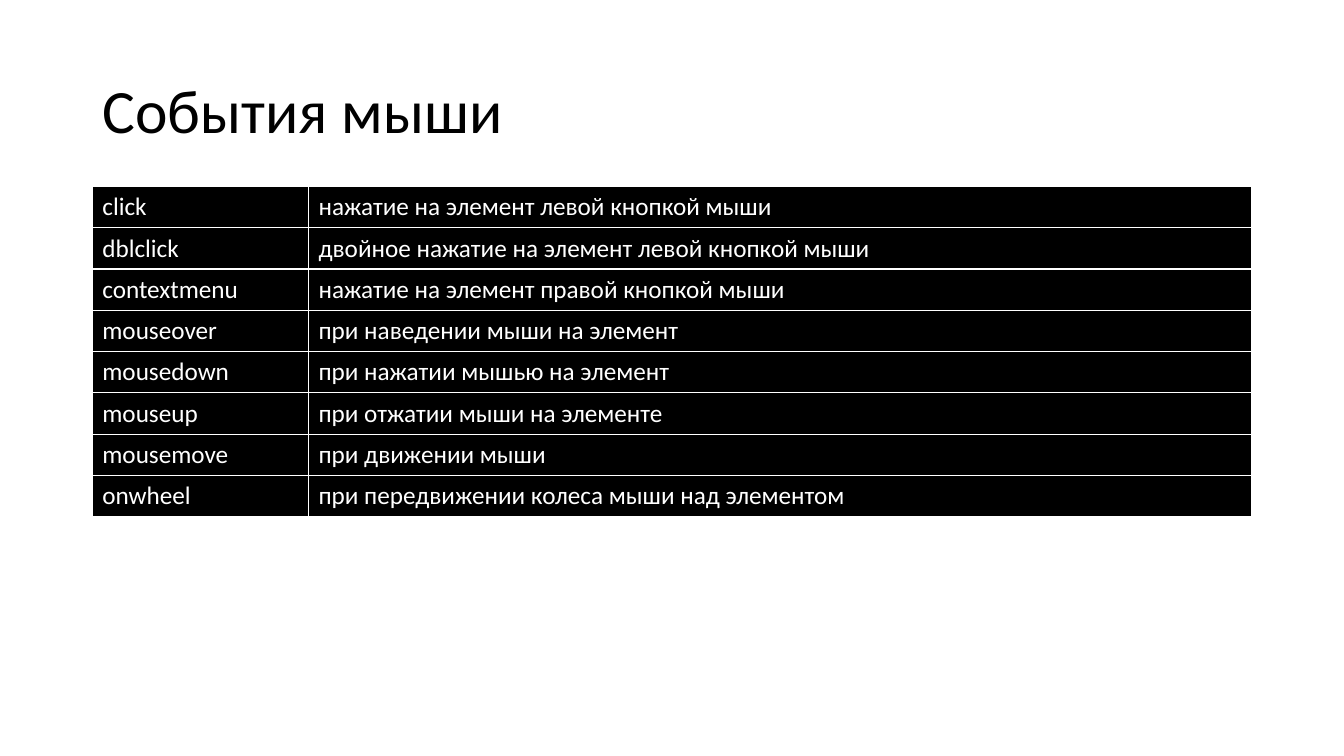
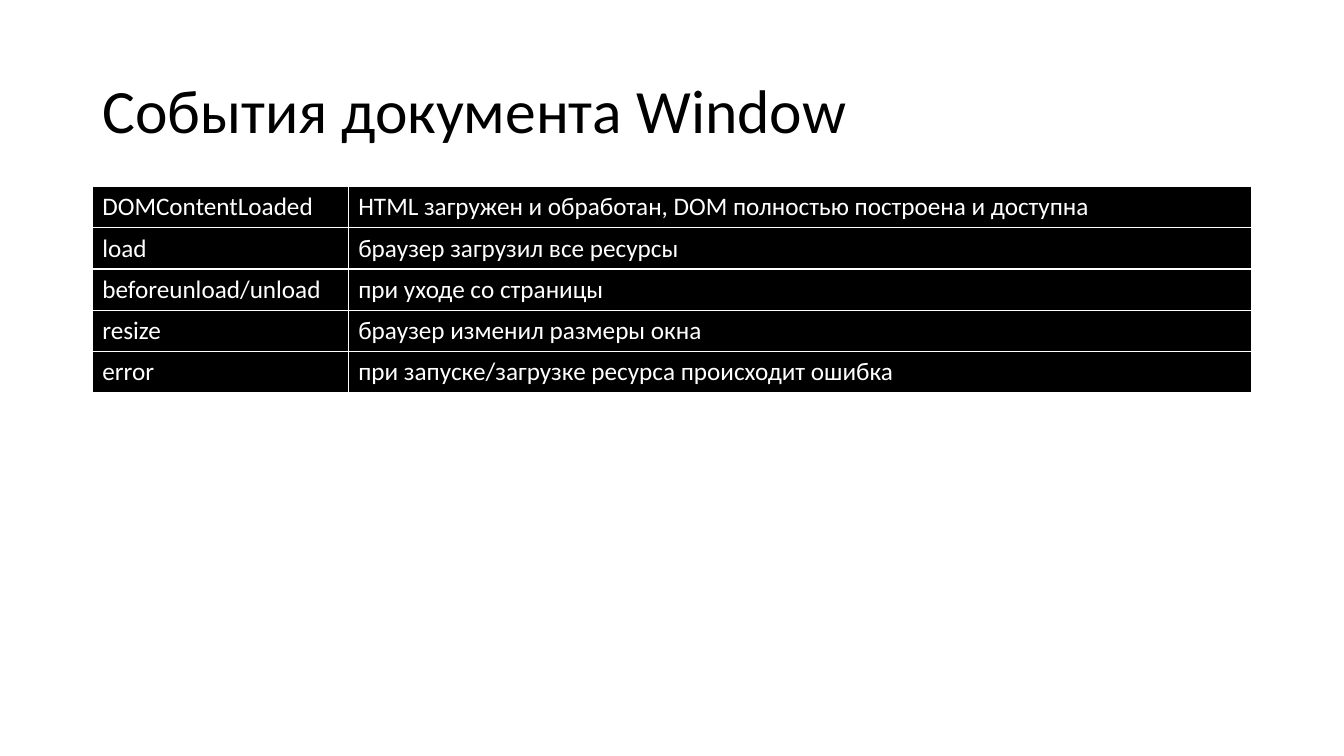
"""Build two slides that list browser events in black tables."""
from lxml.etree import SubElement
from pptx import Presentation
from pptx.dml.color import RGBColor
from pptx.enum.text import MSO_ANCHOR
from pptx.oxml.ns import qn
from pptx.util import Cm, Pt

FONT = "Calibri"
INK = "000000"
PAPER = "FFFFFF"
LEFT, WIDTH = 2.33, 29.21
TITLE_TOP, TITLE_HEIGHT = 1.01, 3.68
TABLE_TOP, ROW_HEIGHT = 4.7, 1.04
PAD_X, PAD_Y = Cm(0.25), Cm(0.13)

MOUSE_EVENTS = [
    ("click", "нажатие на элемент левой кнопкой мыши"),
    ("dblclick", "двойное нажатие на элемент левой кнопкой мыши"),
    ("contextmenu", "нажатие на элемент правой кнопкой мыши"),
    ("mouseover", "при наведении мыши на элемент"),
    ("mousedown", "при нажатии мышью на элемент"),
    ("mouseup", "при отжатии мыши на элементе"),
    ("mousemove", "при движении мыши"),
    ("onwheel", "при передвижении колеса мыши над элементом"),
]
WINDOW_EVENTS = [
    ("DOMContentLoaded", "HTML загружен и обработан, DOM полностью построена и доступна"),
    ("load", "браузер загрузил все ресурсы"),
    ("beforeunload/unload", "при уходе со страницы"),
    ("resize", "браузер изменил размеры окна"),
    ("error", "при запуске/загрузке ресурса происходит ошибка"),
]


def paint(color_owner, color):
    """Make a fill solid, or set a font colour, from a hex string."""
    if hasattr(color_owner, "solid"):
        color_owner.solid()
        color_owner = color_owner.fore_color
    else:
        color_owner = color_owner.color
    color_owner.rgb = RGBColor.from_string(color)


def style_text(paragraph, size, color):
    """Set the font of a whole paragraph."""
    paragraph.font.name = FONT
    paragraph.font.size = Pt(size)
    paint(paragraph.font, color)


def pad(holder):
    """Give a cell or a text frame the shared insets and middle anchor."""
    holder.margin_left = holder.margin_right = PAD_X
    holder.margin_top = holder.margin_bottom = PAD_Y
    holder.vertical_anchor = MSO_ANCHOR.MIDDLE


def add_borders(cell, color):
    """Draw a one-point line on all four sides of a cell."""
    properties = cell._tc.get_or_add_tcPr()
    for side in ("lnL", "lnR", "lnT", "lnB"):
        line = SubElement(properties, qn(f"a:{side}"), w=str(Pt(1)))
        solid = SubElement(line, qn("a:solidFill"))
        SubElement(solid, qn("a:srgbClr"), val=color)


def add_title(slide, text):
    """Add the slide title."""
    title = slide.shapes.add_textbox(Cm(LEFT), Cm(TITLE_TOP), Cm(WIDTH), Cm(TITLE_HEIGHT))
    frame = title.text_frame
    frame.word_wrap = True
    pad(frame)
    heading = frame.paragraphs[0]
    heading.text = text
    heading.line_spacing = 0.9
    style_text(heading, 44, INK)


def add_event_table(slide, events, name_width):
    """Add a table of event names and their descriptions."""
    table = slide.shapes.add_table(
        len(events), 2, Cm(LEFT), Cm(TABLE_TOP), Cm(WIDTH), Cm(ROW_HEIGHT * len(events))
    ).table
    table.first_row = table.horz_banding = False
    table.columns[0].width = Cm(name_width)
    table.columns[1].width = Cm(WIDTH - name_width)
    for row, event in zip(table.rows, events):
        row.height = Cm(ROW_HEIGHT)
        for cell, text in zip(row.cells, event):
            cell.text = text
            pad(cell)
            add_borders(cell, PAPER)
            paint(cell.fill, INK)
            style_text(cell.text_frame.paragraphs[0], 18, PAPER)


def add_event_slide(deck, title, events, name_width):
    """Add one slide with a title and an event table."""
    slide = deck.slides.add_slide(deck.slide_layouts[6])
    paint(slide.background.fill, PAPER)
    add_title(slide, title)
    add_event_table(slide, events, name_width)


def main():
    """Build and save the presentation."""
    deck = Presentation()
    deck.slide_width, deck.slide_height = Cm(33.87), Cm(19.05)
    add_event_slide(deck, "События мыши", MOUSE_EVENTS, 5.45)
    add_event_slide(deck, "События документа Window", WINDOW_EVENTS, 6.45)
    deck.save("out.pptx")


if __name__ == "__main__":
    main()
